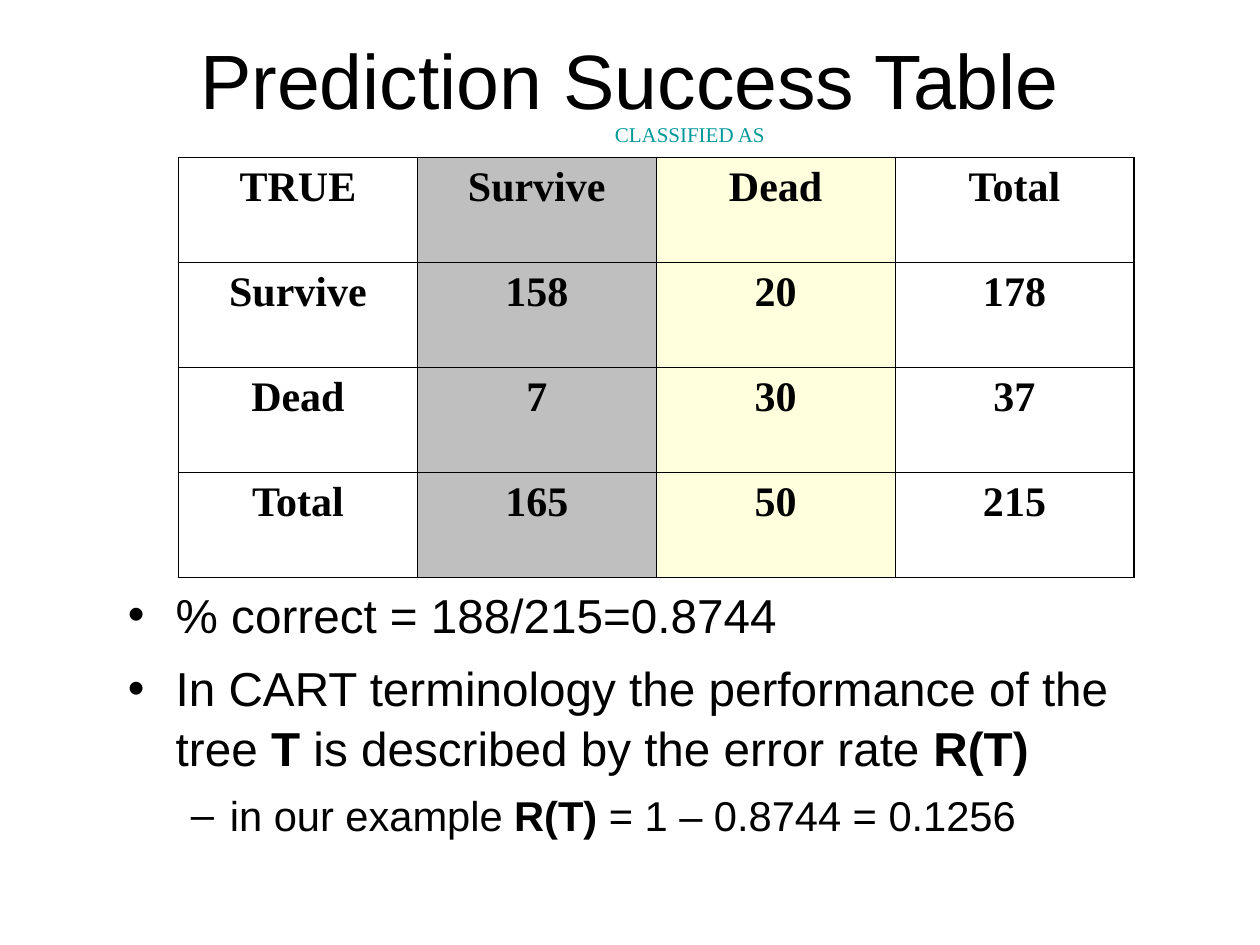
from lxml.etree import SubElement
from pptx import Presentation
from pptx.dml.color import RGBColor
from pptx.enum.text import MSO_ANCHOR, PP_ALIGN
from pptx.oxml.ns import qn
from pptx.util import Inches, Pt

BLACK = RGBColor(0x00, 0x00, 0x00)
TEAL = RGBColor(0x00, 0x99, 0x99)
GRAY = RGBColor(0xBF, 0xBF, 0xBF)
CREAM = RGBColor(0xFF, 0xFF, 0xDD)

GRID_COLUMNS, GRID_ROWS = 120, 90
THICK, THIN = 0.96, 0.45


class SlideBuilder:
    """Holds the style and the current slide; lengths are grid units."""

    sans = "Arial"
    serif = "Times New Roman"

    def __init__(self, presentation):
        self.column = presentation.slide_width / GRID_COLUMNS
        self.row = presentation.slide_height / GRID_ROWS
        self.slide = presentation.slides.add_slide(presentation.slide_layouts[6])

    def box(self, left, top, width, height):
        return (round(left * self.column), round(top * self.row),
                round(width * self.column), round(height * self.row))

    def run(self, paragraph, text, size, font, color=BLACK, bold=False):
        run = paragraph.add_run()
        run.text = text
        run.font.size = Pt(size)
        run.font.name = font
        run.font.bold = bold
        run.font.color.rgb = color

    def text_frame(self, place, anchor):
        frame = self.slide.shapes.add_textbox(*self.box(*place)).text_frame
        frame.word_wrap = True
        frame.vertical_anchor = anchor
        return frame

    def centered_text(self, place, text, size, font, color=BLACK):
        paragraph = self.text_frame(place, MSO_ANCHOR.MIDDLE).paragraphs[0]
        paragraph.alignment = PP_ALIGN.CENTER
        self.run(paragraph, text, size, font, color)

    def bullet_list(self, place, items):
        """Each item is a level and its runs, given as (text, bold)."""
        levels = [("•", 27.2, 8, 0.38, 0.38), ("–", 23.8, 7, 0.81, 0.31)]
        frame = self.text_frame(place, MSO_ANCHOR.TOP)
        for index, (level, runs) in enumerate(items):
            mark, size, space, margin, hanging = levels[level]
            paragraph = frame.add_paragraph() if index else frame.paragraphs[0]
            paragraph.level = level
            paragraph.space_before = Pt(space)
            paragraph.line_spacing = 1.04
            properties = paragraph._p.get_or_add_pPr()
            properties.set("marL", str(Inches(margin)))
            properties.set("indent", str(-Inches(hanging)))
            SubElement(properties, qn("a:buFont"), typeface=self.sans)
            SubElement(properties, qn("a:buChar"), char=mark)
            for text, bold in runs:
                self.run(paragraph, text, size, self.sans, bold=bold)

    def border(self, cell, side, width):
        line = SubElement(cell._tc.get_or_add_tcPr(), qn(f"a:ln{side}"),
                          w=str(Pt(width)))
        fill = SubElement(line, qn("a:solidFill"))
        SubElement(fill, qn("a:srgbClr"), val=str(BLACK))

    def table(self, place, rows, column_fills):
        count, width = len(rows), len(column_fills)
        table = self.slide.shapes.add_table(count, width, *self.box(*place)).table
        table.first_row = table.horz_banding = False
        for r, values in enumerate(rows):
            for c, value in enumerate(values):
                cell = table.cell(r, c)
                # Heavy frame and heavy rule under the header
                heavy_sides = {"L": c == 0, "R": c == width - 1,
                               "T": r <= 1, "B": r in (0, count - 1)}
                for side, heavy in heavy_sides.items():
                    self.border(cell, side, THICK if heavy else THIN)
                if column_fills[c] is None:
                    cell.fill.background()
                else:
                    cell.fill.solid()
                    cell.fill.fore_color.rgb = column_fills[c]
                paragraph = cell.text_frame.paragraphs[0]
                paragraph.alignment = PP_ALIGN.CENTER
                self.run(paragraph, value, 24, self.serif, bold=True)


def main():
    presentation = Presentation()
    presentation.slide_width = Inches(10)
    presentation.slide_height = Inches(7.5)
    builder = SlideBuilder(presentation)

    # Title
    builder.centered_text((9, 0, 102, 15), "Prediction Success Table",
                          44, builder.sans)

    # Conclusions below the table
    builder.bullet_list((11, 55, 102, 29), [
        (0, [("% correct = 188/215=0.8744", False)]),
        (0, [("In CART terminology the performance of the tree ", False),
             ("T ", True),
             ("is described by the error rate ", False),
             ("R(T)", True)]),
        (1, [("in our example ", False),
             ("R(T)", True),
             (" = 1 – 0.8744 = 0.1256", False)]),
    ])

    # Prediction success table
    builder.table((17, 15, 91, 40), [
        ("TRUE", "Survive", "Dead", "Total"),
        ("Survive", "158", "20", "178"),
        ("Dead", "7", "30", "37"),
        ("Total", "165", "50", "215"),
    ], [None, GRAY, CREAM, None])

    # Caption over the predicted classes
    builder.centered_text((56.7, 11, 18, 3.6), "CLASSIFIED AS",
                          12, builder.serif, TEAL)

    presentation.save("out.pptx")


if __name__ == "__main__":
    main()
